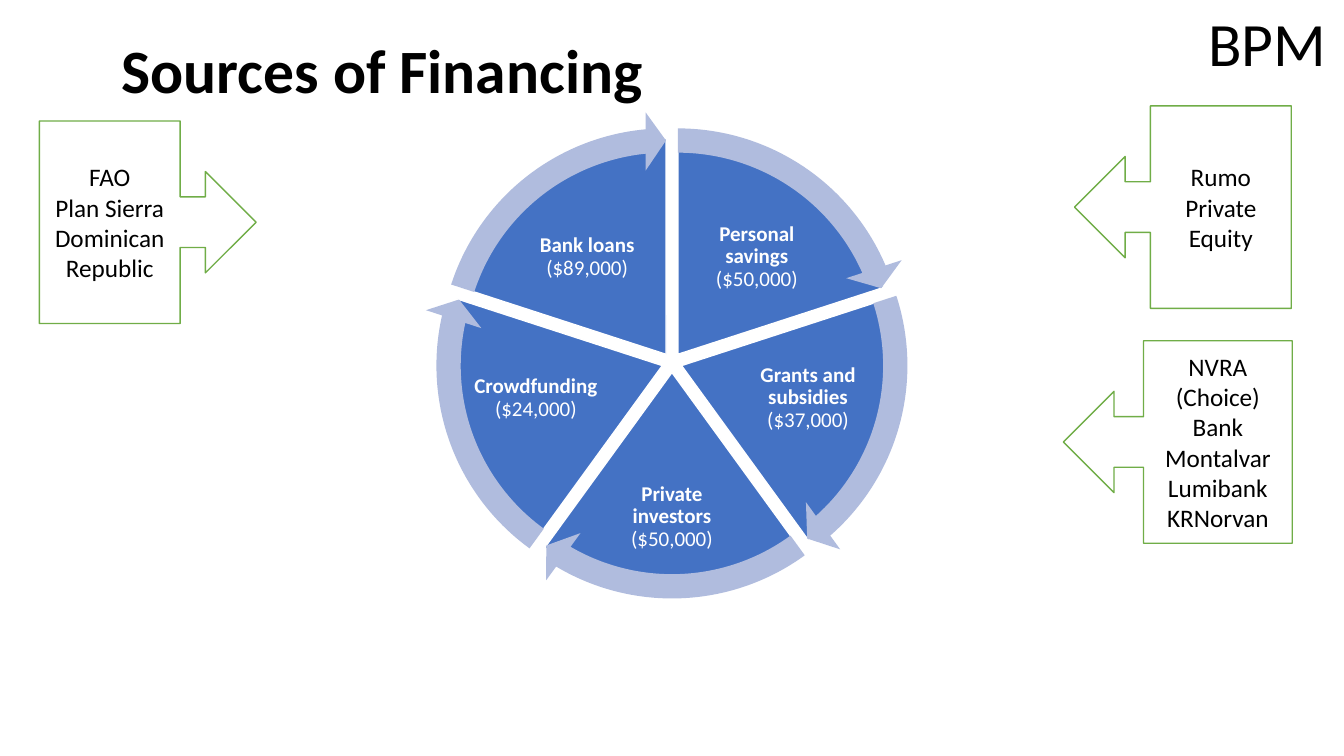
"""Build the Sources of Financing slide: a five-part cycle with arrow callouts."""
from dataclasses import dataclass
from math import cos, radians, sin

from pptx import Presentation
from pptx.dml.color import RGBColor
from pptx.enum.shapes import MSO_SHAPE
from pptx.enum.text import MSO_ANCHOR, PP_ALIGN
from pptx.util import Emu, Inches, Pt

PIE = MSO_SHAPE.PIE
CIRCULAR_ARROW = MSO_SHAPE.CIRCULAR_ARROW
LEFT_CALLOUT = MSO_SHAPE.LEFT_ARROW_CALLOUT
RIGHT_CALLOUT = MSO_SHAPE.RIGHT_ARROW_CALLOUT
MIDDLE = MSO_ANCHOR.MIDDLE
LEFT, CENTER = PP_ALIGN.LEFT, PP_ALIGN.CENTER

SLIDE_WIDTH, SLIDE_HEIGHT = Inches(13.333), Inches(7.5)
COLUMNS, ROWS = 160, 90
FONT = "Calibri"
BLACK, WHITE = "000000", "FFFFFF"
BLUE, PALE_BLUE, GREEN = "4472C4", "B0BCDE", "70AD47"

HUB_COLUMN, HUB_ROW = 80, 43.15
WEDGE_SIZE, ARROW_SIZE = 51.48, 57.84
WEDGE_SHIFT = 1.2
TOP_ANGLE = 270
ANGLE_UNIT = 0.6
ARROW_WIDTH, ARROW_HEAD_ANGLE, ARROW_HEAD_WIDTH = 0.05, 3.28, 0.06


@dataclass(frozen=True)
class Box:
    """Place on the grid, in columns and rows."""
    column: float
    row: float
    width: float
    height: float


@dataclass(frozen=True)
class Run:
    """Piece of text in one weight."""
    text: str
    bold: bool = False


@dataclass(frozen=True)
class TextStyle:
    """Look shared by all paragraphs of one text."""
    size: float
    color: str
    align: PP_ALIGN
    line_spacing: float = 1.0


@dataclass(frozen=True)
class Source:
    """One part of the cycle, its label centred at an offset from the hub."""
    name: str
    amount: str
    across: float
    down: float
    width: float
    height: float


@dataclass(frozen=True)
class Callout:
    """Arrow callout naming the providers, one per line."""
    kind: MSO_SHAPE
    box: Box
    providers: tuple[str, ...]


HEADING = TextStyle(44, BLACK, LEFT, 0.9)
LABEL = TextStyle(15, WHITE, CENTER, 0.9)
PROVIDER = TextStyle(18, BLACK, CENTER)

SOURCES = (
    Source("Personal savings", "($50,000)", 10.1, -12.55, 16.56, 11.04),
    Source("Grants and subsidies", "($37,000)", 16.2, 4.25, 15.36, 12.24),
    Source("Private investors", "($50,000)", 0, 18.4, 14.76, 13.44),
    Source("Crowdfunding", "($24,000)", -16.2, 4.25, 15.36, 12.24),
    Source("Bank loans", "($89,000)", -10.1, -12.55, 16.56, 11.04),
)
CALLOUTS = (
    Callout(LEFT_CALLOUT, Box(126.6, 40.56, 27.24, 24.12),
            ("NVRA (Choice)", "Bank Montalvar", "Lumibank", "KRNorvan")),
    Callout(LEFT_CALLOUT, Box(127.92, 12.6, 25.8, 24.12), ("Rumo Private Equity",)),
    Callout(RIGHT_CALLOUT, Box(4.68, 14.4, 25.8, 24.12),
            ("FAO", "Plan Sierra", "Dominican Republic")),
)


def color(value: str) -> RGBColor:
    """Turn a hex string into a colour."""
    return RGBColor.from_string(value)


def place(box: Box) -> tuple[Emu, Emu, Emu, Emu]:
    """Turn grid units into slide lengths."""
    column, row = SLIDE_WIDTH / COLUMNS, SLIDE_HEIGHT / ROWS
    return (Emu(round(box.column * column)), Emu(round(box.row * row)),
            Emu(round(box.width * column)), Emu(round(box.height * row)))


def centered(column: float, row: float, width: float, height: float) -> Box:
    """Return the box around a centre point."""
    return Box(column - width / 2, row - height / 2, width, height)


def write(shape, paragraphs: list[list[Run]], style: TextStyle) -> None:
    """Fill a shape's text frame run by run."""
    frame = shape.text_frame
    frame.word_wrap = True
    frame.vertical_anchor = MIDDLE
    for index, runs in enumerate(paragraphs):
        paragraph = frame.add_paragraph() if index else frame.paragraphs[0]
        paragraph.alignment = style.align
        paragraph.line_spacing = style.line_spacing
        for piece in runs:
            run = paragraph.add_run()
            run.text = piece.text
            run.font.name = FONT
            run.font.size = Pt(style.size)
            run.font.bold = piece.bold
            run.font.color.rgb = color(style.color)


def add_text(slide, box: Box, runs: list[Run], style: TextStyle):
    """Add a one-paragraph text box."""
    shape = slide.shapes.add_textbox(*place(box))
    write(shape, [runs], style)
    return shape


def add_figure(slide, kind: MSO_SHAPE, box: Box, fill: str, line: str | None = None,
               adjustments: tuple[float, ...] = ()):
    """Add a flat preset shape."""
    shape = slide.shapes.add_shape(kind, *place(box))
    shape.shadow.inherit = False
    shape.fill.solid()
    shape.fill.fore_color.rgb = color(fill)
    if line:
        shape.line.color.rgb = color(line)
        shape.line.width = Pt(1)
    else:
        shape.line.fill.background()
    for index, value in enumerate(adjustments):
        shape.adjustments[index] = value
    return shape


def add_label(slide, source: Source) -> None:
    """Add the name and amount of a source over its wedge."""
    box = centered(HUB_COLUMN + source.across, HUB_ROW + source.down,
                   source.width, source.height)
    label = add_text(slide, box, [Run(source.name + " ", True), Run(source.amount)], LABEL)
    frame = label.text_frame
    frame.margin_left = frame.margin_right = Inches(0.02)
    frame.margin_top = frame.margin_bottom = Inches(0.02)


def add_cycle(slide) -> None:
    """Add wedges and labels, then the arrows around them."""
    step = 360 / len(SOURCES)
    arrows = []
    for index, source in enumerate(SOURCES):
        angle = TOP_ANGLE + index * step
        middle = radians(angle + step / 2)
        column = HUB_COLUMN + WEDGE_SHIFT * cos(middle)
        row = HUB_ROW + WEDGE_SHIFT * sin(middle)
        start = angle % 360 * ANGLE_UNIT
        end = (angle + step) % 360 * ANGLE_UNIT
        add_figure(slide, PIE, centered(column, row, WEDGE_SIZE, WEDGE_SIZE),
                   BLUE, WHITE, (start, end))
        add_label(slide, source)
        arrows.append((centered(column, row, ARROW_SIZE, ARROW_SIZE),
                       (ARROW_WIDTH, ARROW_HEAD_ANGLE, end - ARROW_HEAD_ANGLE,
                        start, ARROW_HEAD_WIDTH)))
    for box, adjustments in arrows:
        add_figure(slide, CIRCULAR_ARROW, box, PALE_BLUE, adjustments=adjustments)


def main() -> None:
    """Build and save the presentation."""
    presentation = Presentation()
    presentation.slide_width, presentation.slide_height = SLIDE_WIDTH, SLIDE_HEIGHT
    slide = presentation.slides.add_slide(presentation.slide_layouts[6])
    add_text(slide, Box(13.32, 0, 138, 17.4), [Run("Sources of Financing", True)], HEADING)
    add_cycle(slide)
    add_text(slide, Box(142.68, 0, 17.28, 11.16), [Run("BPM")], HEADING)
    for callout in CALLOUTS:
        shape = add_figure(slide, callout.kind, callout.box, WHITE, GREEN)
        write(shape, [[Run(name)] for name in callout.providers], PROVIDER)
    presentation.save("out.pptx")


if __name__ == "__main__":
    main()
